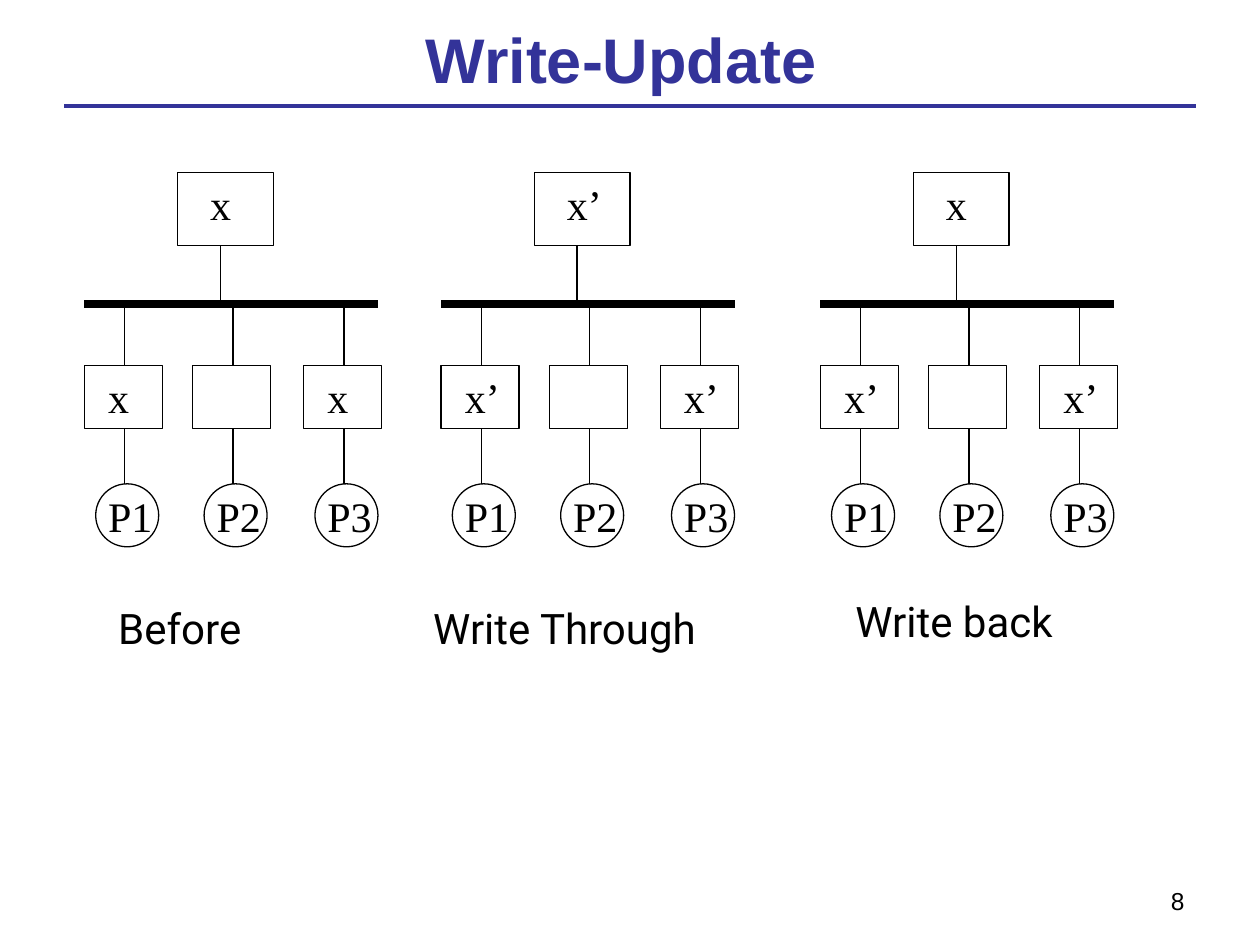
from typing import NamedTuple

from lxml.etree import SubElement
from pptx import Presentation
from pptx.dml.color import RGBColor
from pptx.enum.shapes import MSO_CONNECTOR, MSO_SHAPE
from pptx.enum.text import MSO_ANCHOR, MSO_AUTO_SIZE, PP_ALIGN
from pptx.oxml.ns import qn
from pptx.util import Emu, Pt

PX = 9144  # EMU per px, 100 px to the inch
COLORS = {"title": "333399", "ink": "000000"}
SERIF, SANS, LABEL = "Times New Roman", "Arial", "Roboto"

MEMORY_TOP, MEMORY_W, MEMORY_H = 137, 76, 58
BUS_Y, BUS_W = 241, 233
CACHE_TOP, CACHE_W, CACHE_H = 290, 62, 50
CPU_TOP, CPU_SIZE = 384, 50
CACHE_OFFSETS = (0, 86, 174)
INSET, WIRE_OFFSET = 9, 32
TEXT_WIDTHS = {"x": 36, "x’": 48}


class Caption(NamedTuple):
    text: str
    left: int
    top: int
    width: int


class System(NamedTuple):
    left: int
    memory: str
    caches: tuple[str, str, str]
    caption: Caption


SYSTEMS = (
    System(67, "x", ("x", "", "x"), Caption("Before", 84, 473, 124)),
    System(350, "x’", ("x’", "", "x’"), Caption("Write Through", 334, 473, 247)),
    System(651, "x", ("x’", "", "x’"), Caption("Write back", 669, 468, 186)),
)


def px(*lengths: int) -> list[Emu]:
    return [Emu(length * PX) for length in lengths]


def rgb(name: str) -> RGBColor:
    return RGBColor.from_string(COLORS[name])


def format_text(para, font: str, size: int, color: str = "ink", bold: bool = False) -> None:
    values = {"name": font, "size": Pt(size), "bold": bold}
    for attribute, value in values.items():
        setattr(para.font, attribute, value)
    para.font.color.rgb = rgb(color)


def add_text(page, text: str, left: int, top: int, width: int, font: str = SERIF) -> None:
    """Add a single unwrapped line of 24 pt text."""
    box = page.shapes.add_textbox(*px(left, top, width, 50))
    frame = box.text_frame
    frame.word_wrap = False
    frame.auto_size = MSO_AUTO_SIZE.SHAPE_TO_FIT_TEXT
    frame.text = text
    format_text(frame.paragraphs[0], font, 24)


def add_outline(page, kind: MSO_SHAPE, left: int, top: int, width: int, height: int) -> None:
    shape = page.shapes.add_shape(kind, *px(left, top, width, height))
    shape.shadow.inherit = False
    shape.fill.background()
    shape.line.color.rgb = rgb("ink")
    shape.line.width = Pt(0.75)


def add_line(page, x1: int, y1: int, x2: int, y2: int,
             weight: float = 0.75, color: str = "ink") -> None:
    line = page.shapes.add_connector(MSO_CONNECTOR.STRAIGHT, *px(x1, y1, x2, y2))
    line.line.color.rgb = rgb(color)
    line.line.width = Pt(weight)
    SubElement(line._element.spPr, qn("a:effectLst"))


def add_node(page, left: int, value: str, name: str) -> None:
    """Add a processor with its cache, wired to the bus."""
    wire_x = left + WIRE_OFFSET
    cache_bottom = CACHE_TOP + CACHE_H
    add_line(page, wire_x, BUS_Y, wire_x, CACHE_TOP)
    add_outline(page, MSO_SHAPE.RECTANGLE, left, CACHE_TOP, CACHE_W, CACHE_H)
    if value:
        add_text(page, value, left + INSET, CACHE_TOP, TEXT_WIDTHS[value])
    add_line(page, wire_x, cache_bottom, wire_x, CPU_TOP)
    add_outline(page, MSO_SHAPE.OVAL, left + INSET, CPU_TOP, CPU_SIZE, CPU_SIZE)
    add_text(page, name, left + INSET, CPU_TOP, 55)


def add_system(page, system: System) -> None:
    memory_left, trunk_x = system.left + 74, system.left + 108
    add_outline(page, MSO_SHAPE.RECTANGLE, memory_left, MEMORY_TOP, MEMORY_W, MEMORY_H)
    add_text(page, system.memory, memory_left + 16, MEMORY_TOP, TEXT_WIDTHS[system.memory])
    add_line(page, trunk_x, MEMORY_TOP + MEMORY_H, trunk_x, BUS_Y)
    add_line(page, system.left, BUS_Y, system.left + BUS_W, BUS_Y, weight=4.5)
    for number, (offset, value) in enumerate(zip(CACHE_OFFSETS, system.caches), start=1):
        add_node(page, system.left + offset, value, f"P{number}")
    caption = system.caption
    add_text(page, caption.text, caption.left, caption.top, caption.width, LABEL)


def set_title(page, text: str) -> None:
    title = page.shapes.title
    title.left, title.top, title.width, title.height = px(67, 13, 852, 66)
    frame = title.text_frame
    frame.text = text
    frame.auto_size = MSO_AUTO_SIZE.NONE
    frame.vertical_anchor = MSO_ANCHOR.MIDDLE
    para = frame.paragraphs[0]
    para.alignment = PP_ALIGN.CENTER
    format_text(para, SANS, 36, "title", bold=True)


def add_page_number(page, number: int) -> None:
    frame = page.shapes.add_textbox(*px(717, 698, 233, 37)).text_frame
    frame.word_wrap = True
    frame.text = str(number)
    para = frame.paragraphs[0]
    para.alignment = PP_ALIGN.RIGHT
    format_text(para, SANS, 14)


def main() -> None:
    deck = Presentation()
    deck.slide_width, deck.slide_height = px(1000, 750)
    page = deck.slides.add_slide(deck.slide_layouts.get_by_name("Title Only"))
    add_line(page, 51, 84, 949, 84, weight=2.25, color="title")
    set_title(page, "Write-Update")
    add_page_number(page, 8)
    for system in SYSTEMS:
        add_system(page, system)
    deck.save("out.pptx")


if __name__ == "__main__":
    main()
